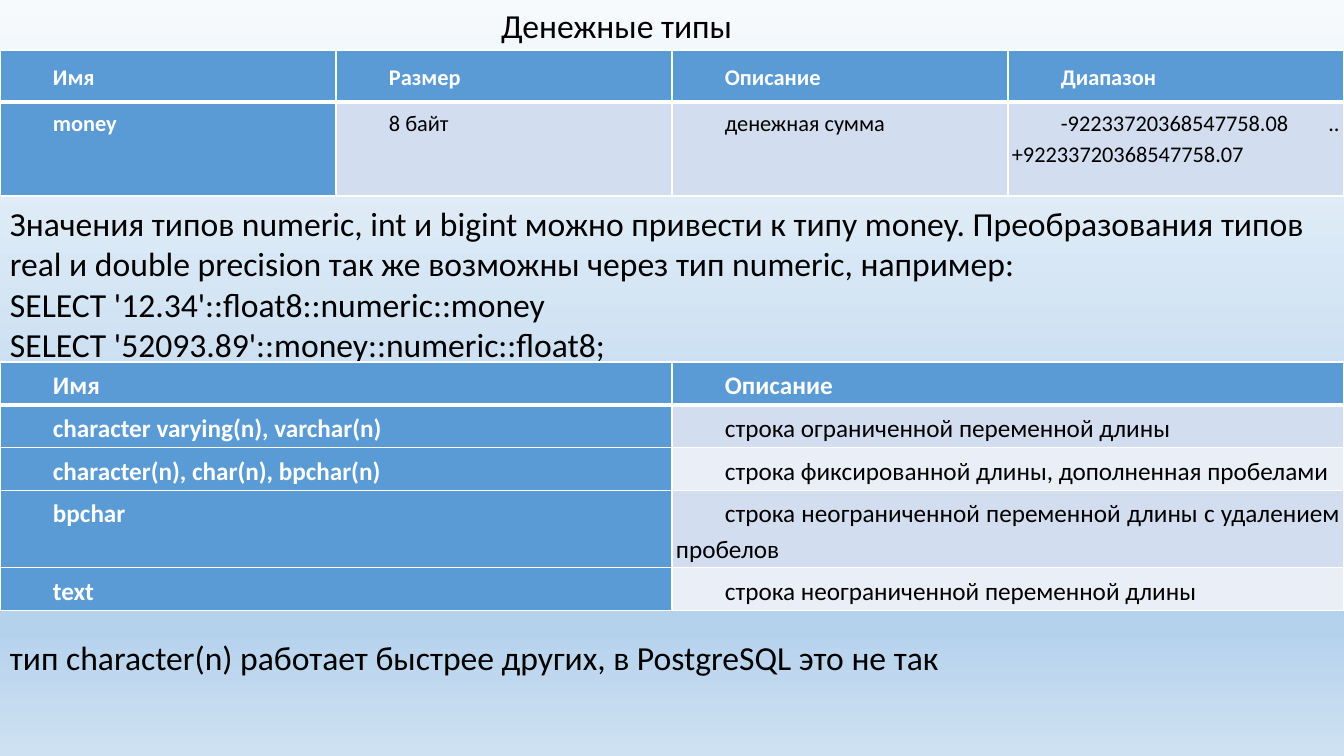
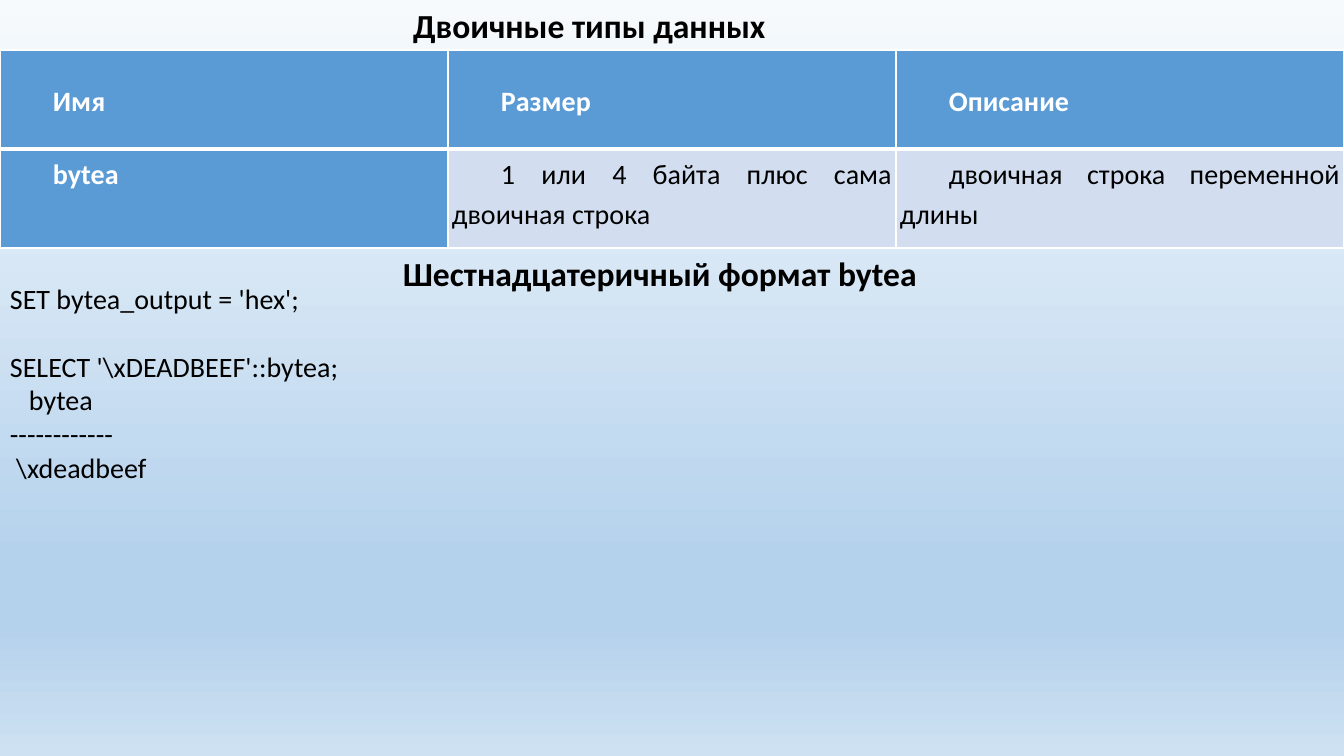
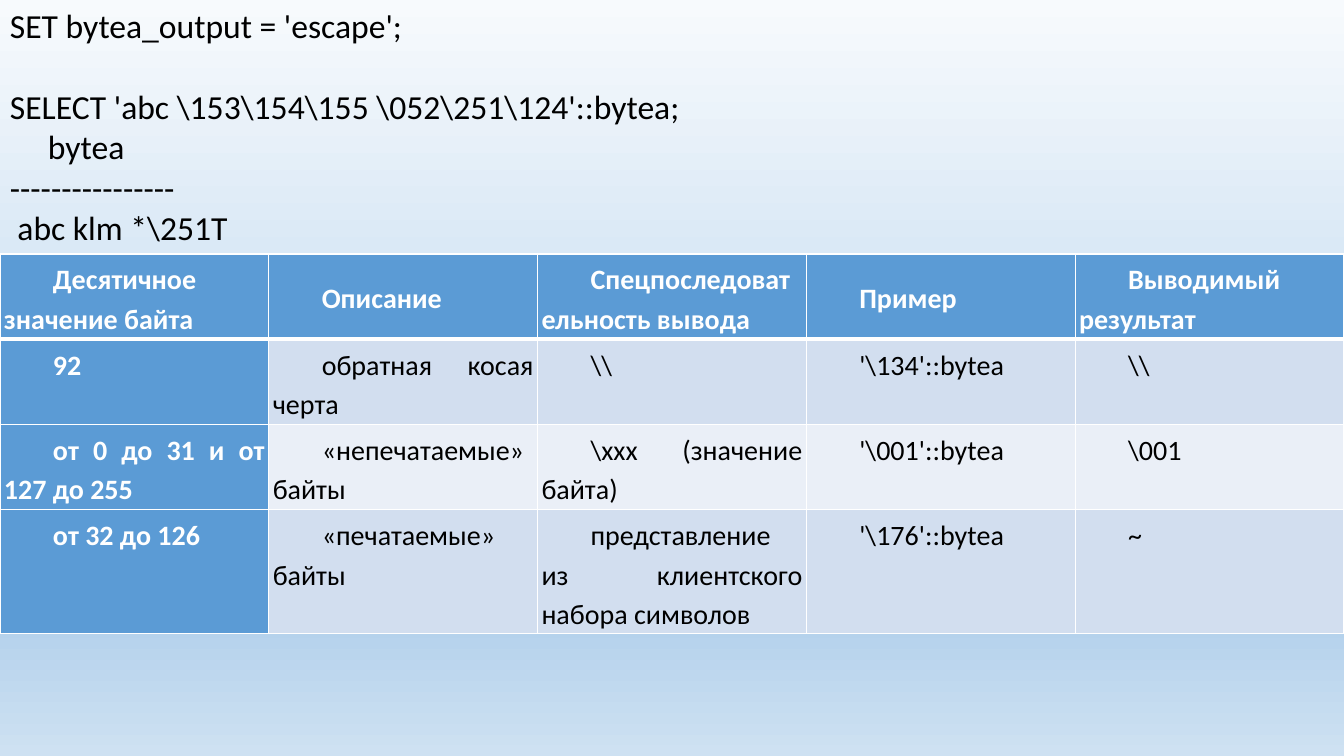
from dataclasses import dataclass

from lxml import etree
from pptx import Presentation
from pptx.dml.color import RGBColor
from pptx.enum.text import MSO_ANCHOR, MSO_AUTO_SIZE, PP_ALIGN
from pptx.oxml.ns import qn
from pptx.util import Pt

LEFT, JUSTIFY = PP_ALIGN.LEFT, PP_ALIGN.JUSTIFY
TOP, MIDDLE = MSO_ANCHOR.TOP, MSO_ANCHOR.MIDDLE
GROW = MSO_AUTO_SIZE.SHAPE_TO_FIT_TEXT
TITLE_ONLY, BLANK = 5, 6
WIDTH, HEIGHT = 1344, 756
EMU_PER_PX = 914400 / 100.8


@dataclass(frozen=True)
class Theme:
    font: str = "Calibri"
    ink: str = "000000"
    paper: str = "FFFFFF"
    accent: str = "5B9BD5"
    bands: tuple = ("D2DEEF", "EAEFF7")
    sky: tuple = ((0, "F7FAFD"), (74, "B5D2EC"), (83, "B5D2EC"), (100, "CEE1F2"))
    large: int = 24
    medium: int = 20
    small: int = 18
    tiny: int = 16
    thin: int = 1
    thick: int = 3
    cell_inset: int = 4
    cell_indent: int = 49
    cell_spacing: float = 1.15
    line_height: float = 1.22


THEME = Theme()


def px(length):
    return round(length * EMU_PER_PX)


def write(frame, text, size=THEME.large, color=THEME.ink, bold=False,
          align=LEFT, spacing=None, indent=0, gaps=()):
    frame.word_wrap = True
    for index, line in enumerate(text.split("\n")):
        para = frame.add_paragraph() if index else frame.paragraphs[0]
        para.alignment = align
        if spacing:
            para.line_spacing = spacing
        if indent:
            properties = para._p.get_or_add_pPr()
            properties.set("marL", "0")
            properties.set("indent", str(px(indent)))
        if index in gaps:
            para.space_before = Pt(round(size * THEME.line_height))
        span = para.add_run()
        span.text = line
        span.font.name = THEME.font
        span.font.size = Pt(size)
        span.font.bold = bold
        span.font.color.rgb = RGBColor.from_string(color)


def add_border(cell, sides):
    properties = cell._tc.get_or_add_tcPr()
    for position, (side, width) in enumerate(sides.items()):
        line = etree.Element(qn(f"a:ln{side}"), w=str(Pt(width)))
        fill = etree.SubElement(line, qn("a:solidFill"))
        etree.SubElement(fill, qn("a:srgbClr"), val=THEME.paper)
        properties.insert(position, line)


class Deck:
    def __init__(self):
        self.deck = Presentation()
        self.deck.slide_width, self.deck.slide_height = px(WIDTH), px(HEIGHT)
        self.page = None
        self.paint_background()

    def paint_background(self):
        master = self.deck.slide_master
        fill = master.background.fill
        fill.gradient()
        fill.gradient_angle = 270
        stops = master.element.find(".//" + qn("a:gsLst"))
        for stop in list(stops):
            stops.remove(stop)
        for percent, color in THEME.sky:
            stop = etree.SubElement(stops, qn("a:gs"), pos=str(percent * 1000))
            etree.SubElement(stop, qn("a:srgbClr"), val=color)

    def new_page(self, layout=TITLE_ONLY):
        self.page = self.deck.slides.add_slide(self.deck.slide_layouts[layout])

    def title(self, text, left, width, bold=False):
        box = self.page.shapes.title
        box.left, box.top, box.width, box.height = px(left), 0, px(width), px(50)
        box.text_frame.vertical_anchor = TOP
        box.text_frame.auto_size = GROW
        write(box.text_frame, text, bold=bold)

    def text(self, text, left, top, width, height, **style):
        box = self.page.shapes.add_textbox(px(left), px(top), px(width), px(height))
        box.text_frame.auto_size = GROW
        write(box.text_frame, text, **style)

    def table(self, rows, top, heights, size):
        columns = len(rows[0])
        table = self.page.shapes.add_table(
            len(rows), columns, 0, px(top), px(WIDTH), px(sum(heights))).table
        for row, height in zip(table.rows, heights):
            row.height = px(height)
        for row_index, texts in enumerate(rows):
            for column_index, text in enumerate(texts):
                self.cell(table.cell(row_index, column_index), text,
                          row_index, column_index, size)

    def cell(self, cell, text, row, column, size):
        strong = row == 0 or column == 0
        fill = THEME.accent if strong else THEME.bands[(row - 1) % 2]
        cell.fill.solid()
        cell.fill.fore_color.rgb = RGBColor.from_string(fill)
        cell.margin_left = cell.margin_right = px(THEME.cell_inset)
        cell.margin_top = cell.margin_bottom = px(THEME.cell_inset)
        cell.vertical_anchor = TOP if row else MIDDLE
        add_border(cell, {
            "L": THEME.thin,
            "R": THEME.thin,
            "T": THEME.thick if row == 1 else THEME.thin,
            "B": THEME.thin if row else THEME.thick,
        })
        write(cell.text_frame, text, size=size, bold=strong,
              color=THEME.paper if strong else THEME.ink, align=JUSTIFY,
              spacing=THEME.cell_spacing, indent=THEME.cell_indent)


def money_and_text_types(deck):
    deck.new_page()
    deck.title("Денежные типы", 491, 282)
    deck.table([
        ("Имя", "Размер", "Описание", "Диапазон"),
        ("money", "8 байт", "денежная сумма",
         "-92233720368547758.08 .. +92233720368547758.07"),
    ], 50, (52, 94), THEME.tiny)
    deck.text(
        "Значения типов numeric, int и bigint можно привести к типу money. "
        "Преобразования типов real и double precision так же возможны "
        "через тип numeric, например:\n"
        "SELECT '12.34'::float8::numeric::money\n"
        "SELECT '52093.89'::money::numeric::float8;",
        0, 198, WIDTH, 173)
    deck.table([
        ("Имя", "Описание"),
        ("character varying(n), varchar(n)", "строка ограниченной переменной длины"),
        ("character(n), char(n), bpchar(n)",
         "строка фиксированной длины, дополненная пробелами"),
        ("bpchar", "строка неограниченной переменной длины с удалением пробелов"),
        ("text", "строка неограниченной переменной длины"),
    ], 362, (42,) * 5, THEME.small)
    deck.text("тип character(n) работает быстрее других, в PostgreSQL это не так",
              0, 632, WIDTH, 50)


def binary_types(deck):
    deck.new_page()
    deck.title("Двоичные типы данных", 403, 411, bold=True)
    deck.table([
        ("Имя", "Размер", "Описание"),
        ("bytea", "1 или 4 байта плюс сама двоичная строка",
         "двоичная строка переменной длины"),
    ], 50, (99, 99), THEME.medium)
    deck.text("Шестнадцатеричный формат bytea", 393, 248, 669, 50, bold=True)
    deck.text(
        "SET bytea_output = 'hex';\n"
        "SELECT '\\xDEADBEEF'::bytea;\n"
        "   bytea\n"
        "------------\n"
        " \\xdeadbeef",
        0, 277, 421, 214, size=THEME.medium, gaps=(1,))


def escape_format(deck):
    deck.new_page(BLANK)
    deck.text(
        "SET bytea_output = 'escape';\n"
        "SELECT 'abc \\153\\154\\155 \\052\\251\\124'::bytea;\n"
        "     bytea\n"
        "----------------\n"
        " abc klm *\\251T",
        0, 0, 739, 254, gaps=(1,))
    deck.table([
        ("Десятичное значение байта", "Описание", "Спецпоследовательность вывода",
         "Пример", "Выводимый результат"),
        ("92", "обратная косая черта", r"\\", r"'\134'::bytea", r"\\"),
        ("от 0 до 31 и от 127 до 255", "«непечатаемые» байты",
         r"\xxx (значение байта)", r"'\001'::bytea", r"\001"),
        ("от 32 до 126", "«печатаемые» байты",
         "представление из клиентского набора символов", r"'\176'::bytea", "~"),
    ], 254, (79, 44, 79, 79), THEME.medium)


def main():
    deck = Deck()
    for build in (money_and_text_types, binary_types, escape_format):
        build(deck)
    deck.deck.save("out.pptx")


if __name__ == "__main__":
    main()
